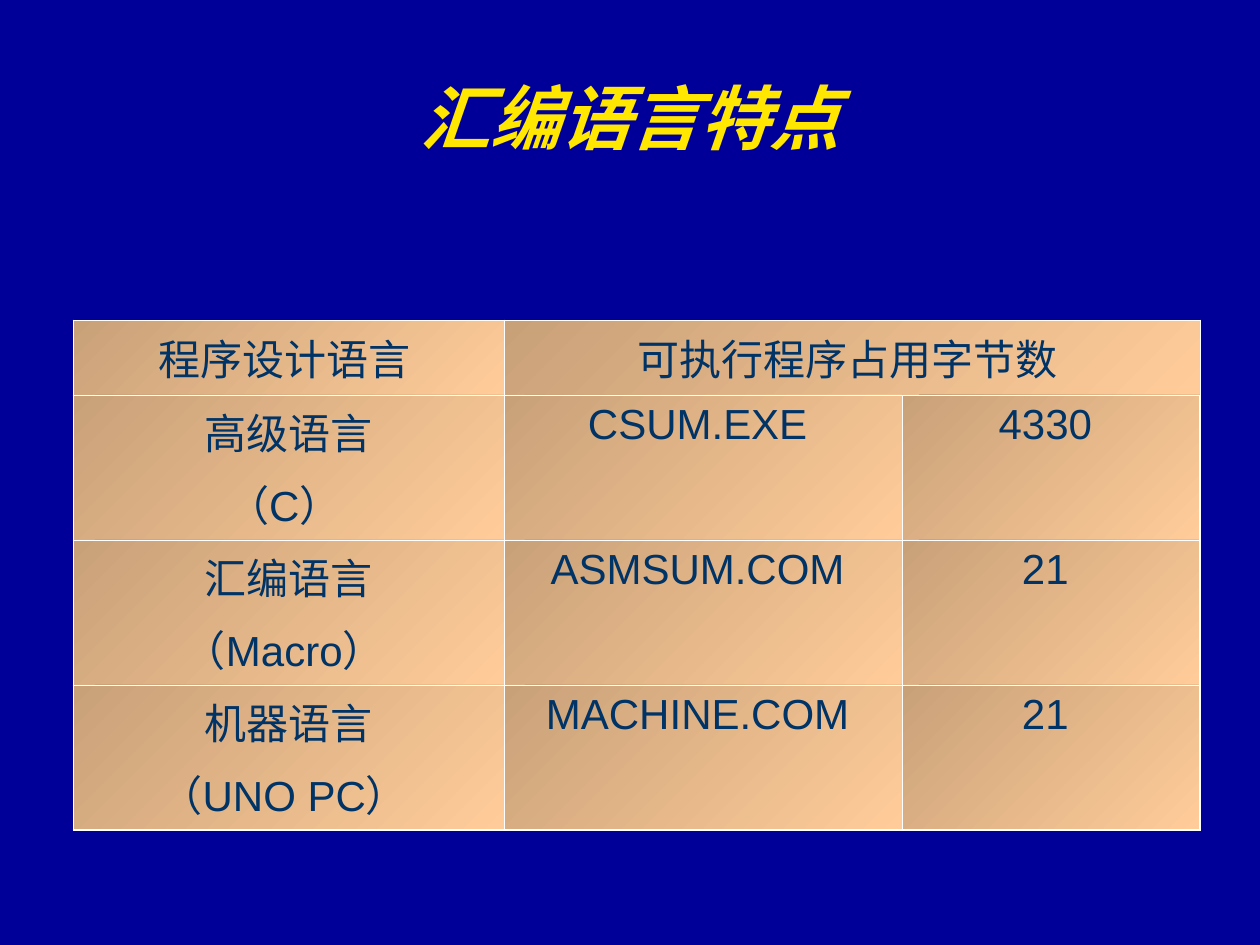
from dataclasses import dataclass

from lxml.etree import SubElement
from pptx import Presentation
from pptx.dml.color import RGBColor
from pptx.enum.text import MSO_ANCHOR, PP_ALIGN
from pptx.oxml.ns import qn
from pptx.util import Cm, Pt


@dataclass(frozen=True)
class Theme:
    background: str = "000099"
    title: str = "FFE701"
    text: str = "003366"
    border: str = "FFFFFF"
    gradient: tuple = ("C9A179", "FFCC99")
    font: str = "Arial"
    title_size: int = 40
    text_size: int = 24
    outer_line: float = 1.08
    inner_line: float = 0.45


theme = Theme()


def write_text(frame, text, *, size, color, bold=False, italic=False, before=0):
    frame.text = text
    for paragraph in frame.paragraphs:
        paragraph.alignment = PP_ALIGN.CENTER
        paragraph.space_before = Pt(before)
        for run in paragraph.runs:
            run.font.name = theme.font
            run.font.size = Pt(size)
            run.font.bold = bold
            run.font.italic = italic
            run.font.color.rgb = RGBColor.from_string(color)


def add_border(cell, side, width):
    properties = cell._tc.get_or_add_tcPr()
    line = SubElement(properties, qn(f"a:ln{side}"), w=str(Pt(width)))
    fill = SubElement(line, qn("a:solidFill"))
    SubElement(fill, qn("a:srgbClr"), val=theme.border)


presentation = Presentation()
presentation.slide_width = Cm(25.4)
presentation.slide_height = Cm(19.05)
slide = presentation.slides.add_slide(presentation.slide_layouts[5])
slide.background.fill.solid()
slide.background.fill.fore_color.rgb = RGBColor.from_string(theme.background)

title = slide.shapes.title
title.left, title.top, title.width, title.height = Cm(1.27), Cm(0.76), Cm(22.86), Cm(3.18)
title.text_frame.vertical_anchor = MSO_ANCHOR.MIDDLE
write_text(title.text_frame, "汇编语言特点", size=theme.title_size,
           color=theme.title, bold=True, italic=True)

rows = [
    ("程序设计语言", "可执行程序占用字节数", ""),
    ("高级语言\n（C）", "CSUM.EXE", "4330"),
    ("汇编语言\n（Macro）", "ASMSUM.COM", "21"),
    ("机器语言\n（UNO PC）", "MACHINE.COM", "21"),
]
column_widths = [8.69, 8.02, 6]
row_heights = [1.5] + [2.92] * 3

table = slide.shapes.add_table(
    len(rows), len(column_widths), Cm(1.48), Cm(6.46),
    Cm(sum(column_widths)), Cm(sum(row_heights))).table
for column, width in zip(table.columns, column_widths):
    column.width = Cm(width)
for row, height in zip(table.rows, row_heights):
    row.height = Cm(height)
table.cell(0, 1).merge(table.cell(0, 2))

last_row, last_column = len(rows) - 1, len(column_widths) - 1
for row_index, row in enumerate(rows):
    for column_index, text in enumerate(row):
        cell = table.cell(row_index, column_index)
        outer_sides = {
            "L": column_index == 0,
            "R": column_index == last_column,
            "T": row_index == 0,
            "B": row_index == last_row,
        }
        for side, is_outer in outer_sides.items():
            add_border(cell, side, theme.outer_line if is_outer else theme.inner_line)
        cell.fill.gradient()
        cell.fill.gradient_angle = 315
        for stop, color, position in zip(cell.fill.gradient_stops, theme.gradient, (0, 1)):
            stop.color.rgb = RGBColor.from_string(color)
            stop.position = position
        if text:
            write_text(cell.text_frame, text + " ", size=theme.text_size,
                       color=theme.text, before=6)

presentation.save("out.pptx")
